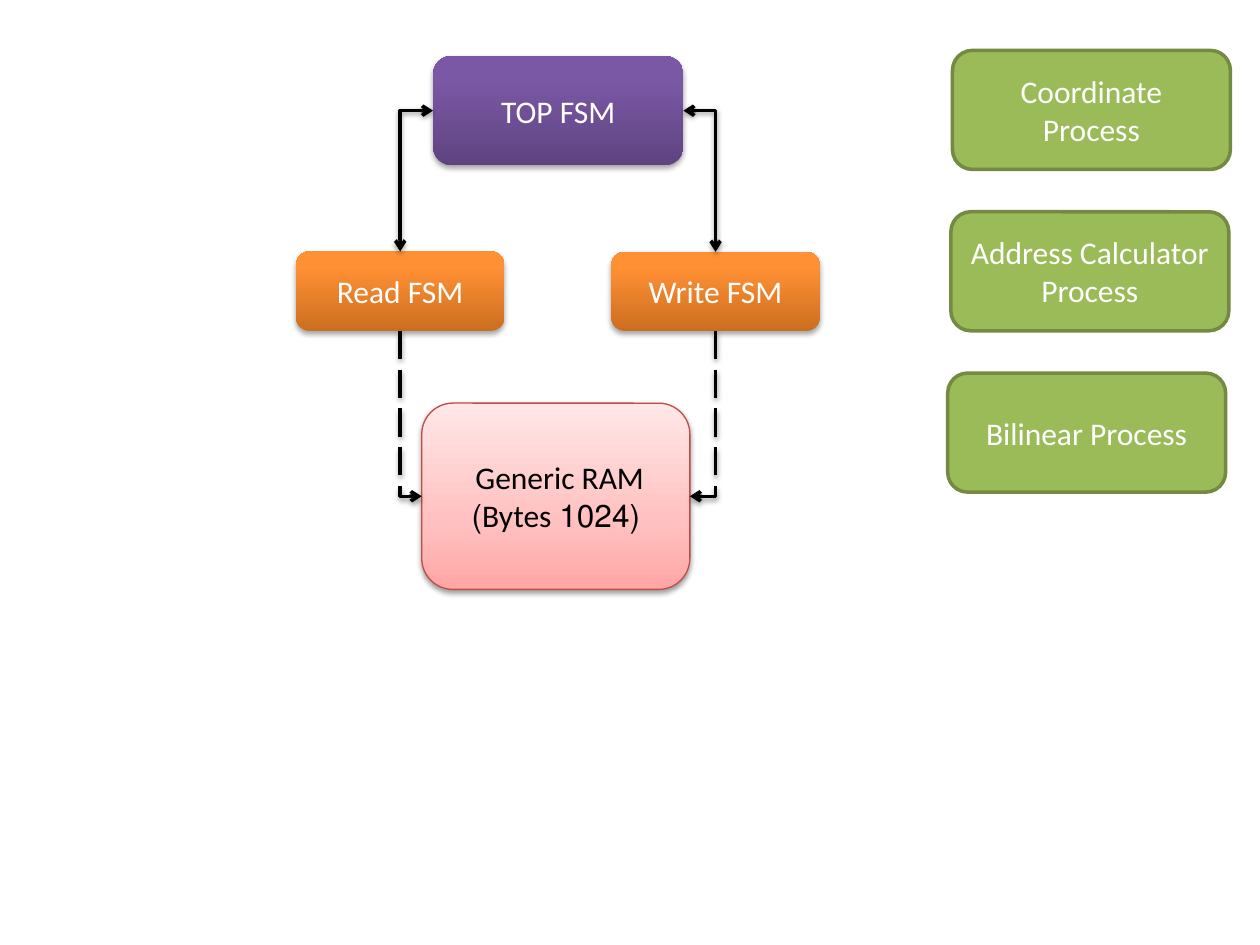
from lxml.etree import SubElement
from pptx import Presentation
from pptx.dml.color import RGBColor
from pptx.enum.dml import MSO_LINE
from pptx.enum.shapes import MSO_CONNECTOR, MSO_SHAPE
from pptx.enum.text import MSO_ANCHOR, PP_ALIGN
from pptx.oxml.ns import qn
from pptx.util import Pt

COLORS = {
    "white": "FFFFFF",
    "black": "000000",
    "green": "9BBB59",
    "green_edge": "738A42",
    "red_edge": "BF4C48",
}
GRADIENTS = {
    "purple": [(0, "5F4480"), (80, "7B58A6"), (100, "7C57A8")],
    "orange": [(0, "CC6E20"), (80, "FF9034"), (100, "FF9136")],
    "pink": [(0, "FFA6A5"), (35, "FFC0BF"), (100, "FFE7E7")],
}
TOP, LEFT, BOTTOM, RIGHT = range(4)


def rgb(name):
    return RGBColor.from_string(COLORS[name])


class Diagram:
    font = "Calibri"
    size = 18
    line_width = 2

    def __init__(self, slide):
        self.slide = slide

    def box(self, x, y, w, h, lines, fill, color="white", edge=None, edge_width=2):
        sp = self.slide.shapes.add_shape(
            MSO_SHAPE.ROUNDED_RECTANGLE, Pt(x), Pt(y), Pt(w), Pt(h))
        sp.shadow.inherit = False
        if fill in GRADIENTS:
            self.gradient(sp, GRADIENTS[fill])
            self.shadow(sp, 38 if edge else 35, 1.6 if edge else 1.8)
        else:
            sp.fill.solid()
            sp.fill.fore_color.rgb = rgb(fill)
        if edge:
            sp.line.color.rgb = rgb(edge)
            sp.line.width = Pt(edge_width)
        else:
            sp.line.fill.background()
        self.text(sp.text_frame, lines, color)
        return sp

    def text(self, tf, lines, color):
        tf.word_wrap = True
        tf.vertical_anchor = MSO_ANCHOR.MIDDLE
        for i, line in enumerate(lines):
            p = tf.add_paragraph() if i else tf.paragraphs[0]
            p.alignment = PP_ALIGN.CENTER
            p._p.get_or_add_pPr().set("rtl", "1")
            r = p.add_run()
            r.text = line
            r.font.name = self.font
            r.font.size = Pt(self.size)
            r.font.color.rgb = rgb(color)

    def gradient(self, sp, stops):
        sp.fill.gradient()
        sp.fill.gradient_angle = 90
        gs_lst = sp._element.spPr.find(qn("a:gradFill")).find(qn("a:gsLst"))
        for gs in list(gs_lst):
            gs_lst.remove(gs)
        for pos, color in stops:
            gs = SubElement(gs_lst, qn("a:gs"), pos=str(pos * 1000))
            SubElement(gs, qn("a:srgbClr"), val=color)

    def shadow(self, sp, alpha, dist):
        sp_pr = sp._element.spPr
        effects = sp_pr.find(qn("a:effectLst"))
        if effects is None:
            effects = SubElement(sp_pr, qn("a:effectLst"))
        outer = SubElement(
            effects, qn("a:outerShdw"), blurRad=str(Pt(3.1)),
            dist=str(Pt(dist)), dir="5400000", rotWithShape="0")
        clr = SubElement(outer, qn("a:srgbClr"), val=COLORS["black"])
        SubElement(clr, qn("a:alpha"), val=str(alpha * 1000))

    def elbow(self, start, start_side, end, end_side, ends, dashed=False):
        c = self.slide.shapes.add_connector(MSO_CONNECTOR.ELBOW, 0, 0, 0, 0)
        c.begin_connect(start, start_side)
        c.end_connect(end, end_side)
        sp_pr = c._element.spPr
        sp_pr.find(qn("a:prstGeom")).set("prst", "bentConnector2")
        if start_side in (TOP, BOTTOM):
            self.turn(c)
        c.line.color.rgb = rgb("black")
        c.line.width = Pt(self.line_width)
        if dashed:
            c.line.dash_style = MSO_LINE.LONG_DASH
        ln = sp_pr.find(qn("a:ln"))
        for tag in ends:
            SubElement(ln, qn(tag), type="arrow")
        self.shadow(c, 38, 1.6)

    def turn(self, c):
        dx, dy = c.end_x - c.begin_x, c.end_y - c.begin_y
        cx, cy = (c.begin_x + c.end_x) // 2, (c.begin_y + c.end_y) // 2
        c.left, c.top = cx - dy // 2, cy - abs(dx) // 2
        c.width, c.height = dy, abs(dx)
        xfrm = c._element.spPr.find(qn("a:xfrm"))
        xfrm.set("rot", "5400000")
        xfrm.set("flipH", "0")
        xfrm.set("flipV", "1" if dx > 0 else "0")


def main():
    prs = Presentation()
    prs.slide_width, prs.slide_height = Pt(720), Pt(540)
    d = Diagram(prs.slides.add_slide(prs.slide_layouts[6]))

    top = d.box(247.5, 32, 143, 62.5, ["TOP FSM"], "purple")
    read = d.box(169.2, 143.7, 119, 45.4, ["Read FSM"], "orange")
    write = d.box(349.4, 143.9, 119, 45.2, ["Write FSM"], "orange")
    ram = d.box(241, 230.4, 153.2, 106.4, ["Generic RAM ", "(1024 Bytes)"],
                "pink", "black", "red_edge", 0.75)

    processes = [
        (544.3, "Coordinate Process"),
        (543.4, "Address Calculator Process"),
        (541.6, "Bilinear Process"),
    ]
    for i, (x, name) in enumerate(processes):
        d.box(x, 28.8 + 92.2 * i, 158.8, 68, [name], "green", edge="green_edge")

    for fsm, side in ((read, LEFT), (write, RIGHT)):
        d.elbow(top, side, fsm, TOP, ("a:headEnd", "a:tailEnd"))
        d.elbow(fsm, BOTTOM, ram, side, ("a:tailEnd",), dashed=True)

    prs.save("out.pptx")


if __name__ == "__main__":
    main()
